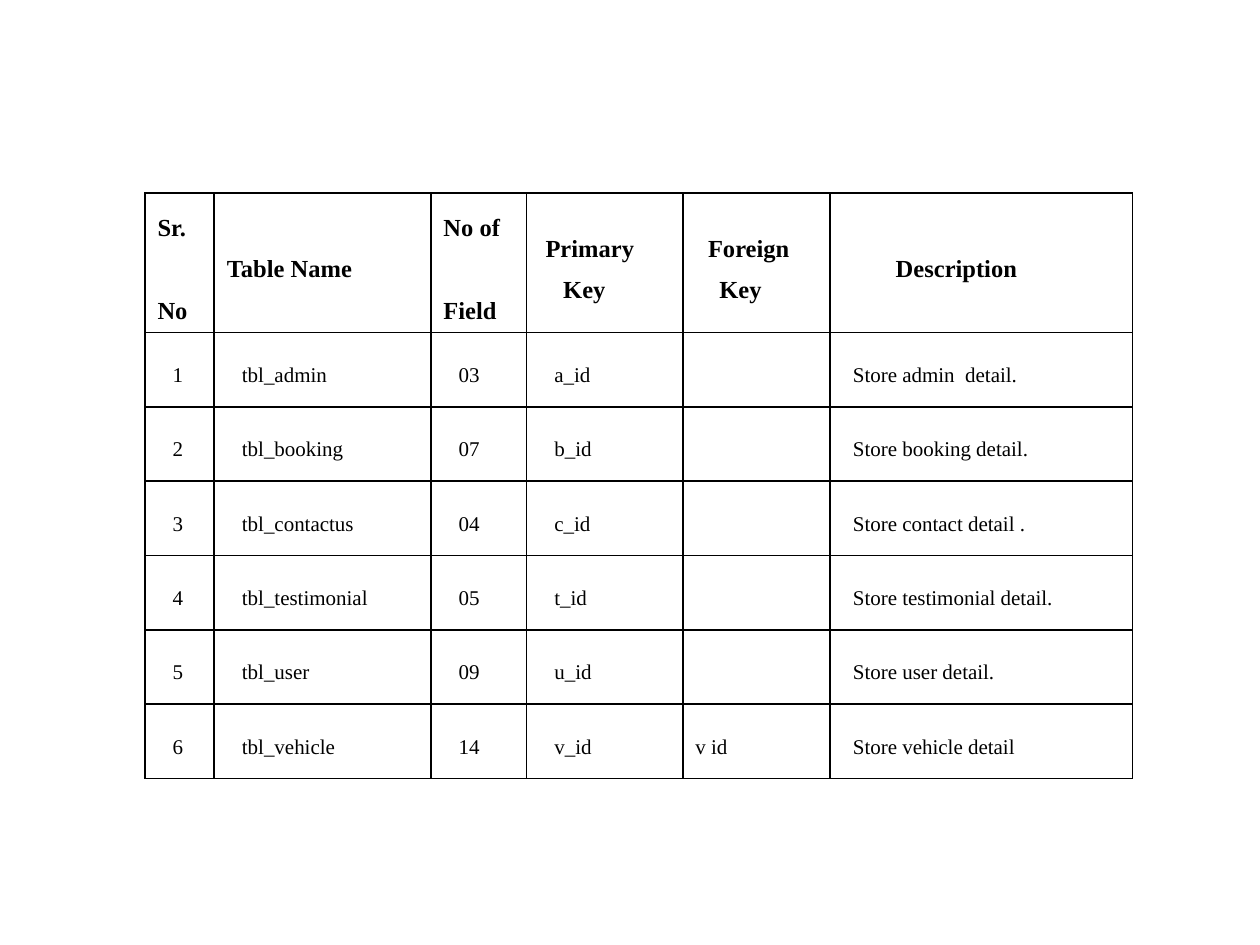
from lxml.etree import SubElement
from pptx import Presentation
from pptx.dml.color import RGBColor
from pptx.enum.text import MSO_ANCHOR
from pptx.oxml.ns import qn
from pptx.util import Inches, Pt

FONT = "Times New Roman"
BLACK = "000000"
COL_WIDTHS = [0.55, 1.72, 0.76, 1.24, 1.17, 2.4]
HEADER_HEIGHT, ROW_HEIGHT = 1.11, 0.59

# Each header: its lines, the indent of each line, space between lines (pt)
HEADERS = [
    (["Sr.", "No"], [0, 0], 24),
    (["Table Name"], [0], 0),
    (["No of", "Field"], [0, 0], 24),
    (["Primary", "Key"], [0.05, 0.19], 0),
    (["Foreign", "Key"], [0.1, 0.19], 0),
    (["Description"], [0.42], 0),
]
BODY_INDENTS = [0.12, 0.12, 0.12, 0.12, 0, 0.08]
ROWS = [
    ["1", "tbl_admin", "03", "a_id", "", "Store admin  detail."],
    ["2", "tbl_booking", "07", "b_id", "", "Store booking detail."],
    ["3", "tbl_contactus", "04", "c_id", "", "Store contact detail ."],
    ["4", "tbl_testimonial", "05", "t_id", "", "Store testimonial detail."],
    ["5", "tbl_user", "09", "u_id", "", "Store user detail."],
    ["6", "tbl_vehicle", "14", "v_id", "v id", "Store vehicle detail"],
]


def rgb(value):
    return RGBColor.from_string(value)


def set_borders(cell, color=BLACK, width=1):
    tc_pr = cell._tc.get_or_add_tcPr()
    for side in ("a:lnL", "a:lnR", "a:lnT", "a:lnB"):
        ln = SubElement(tc_pr, qn(side), w=str(Pt(width)))
        fill = SubElement(ln, qn("a:solidFill"))
        SubElement(fill, qn("a:srgbClr"), val=color)


def fill_cell(cell, lines, indents, size, bold=False, gap=0):
    set_borders(cell)
    cell.fill.background()
    cell.vertical_anchor = MSO_ANCHOR.MIDDLE
    tf = cell.text_frame
    for i, (line, indent) in enumerate(zip(lines, indents)):
        p = tf.add_paragraph() if i else tf.paragraphs[0]
        p.text = line
        p.line_spacing = 1.5
        if i:
            p.space_before = Pt(gap)
        # Left indent of the line
        p_pr = p._p.get_or_add_pPr()
        p_pr.set("marL", str(Inches(indent)))
        p_pr.set("indent", "0")
        p.font.name = FONT
        p.font.size = Pt(size)
        p.font.bold = bold
        p.font.color.rgb = rgb(BLACK)


def add_schema_table(slide):
    height = HEADER_HEIGHT + ROW_HEIGHT * len(ROWS)
    table = slide.shapes.add_table(
        len(ROWS) + 1, len(COL_WIDTHS), Inches(1.15), Inches(1.53),
        Inches(sum(COL_WIDTHS)), Inches(height)).table
    table.first_row = table.horz_banding = False
    for column, width in zip(table.columns, COL_WIDTHS):
        column.width = Inches(width)
    for i, row in enumerate(table.rows):
        row.height = Inches(ROW_HEIGHT if i else HEADER_HEIGHT)

    # Header row
    for c, (lines, indents, gap) in enumerate(HEADERS):
        fill_cell(table.cell(0, c), lines, indents, 14, bold=True, gap=gap)
    # Body rows
    for r, values in enumerate(ROWS, start=1):
        for c, (value, indent) in enumerate(zip(values, BODY_INDENTS)):
            fill_cell(table.cell(r, c), [value], [indent], 12)


def main():
    prs = Presentation()
    prs.slide_width, prs.slide_height = Inches(10), Inches(7.5)
    slide = prs.slides.add_slide(prs.slide_layouts[6])
    add_schema_table(slide)
    prs.save("out.pptx")


if __name__ == "__main__":
    main()
